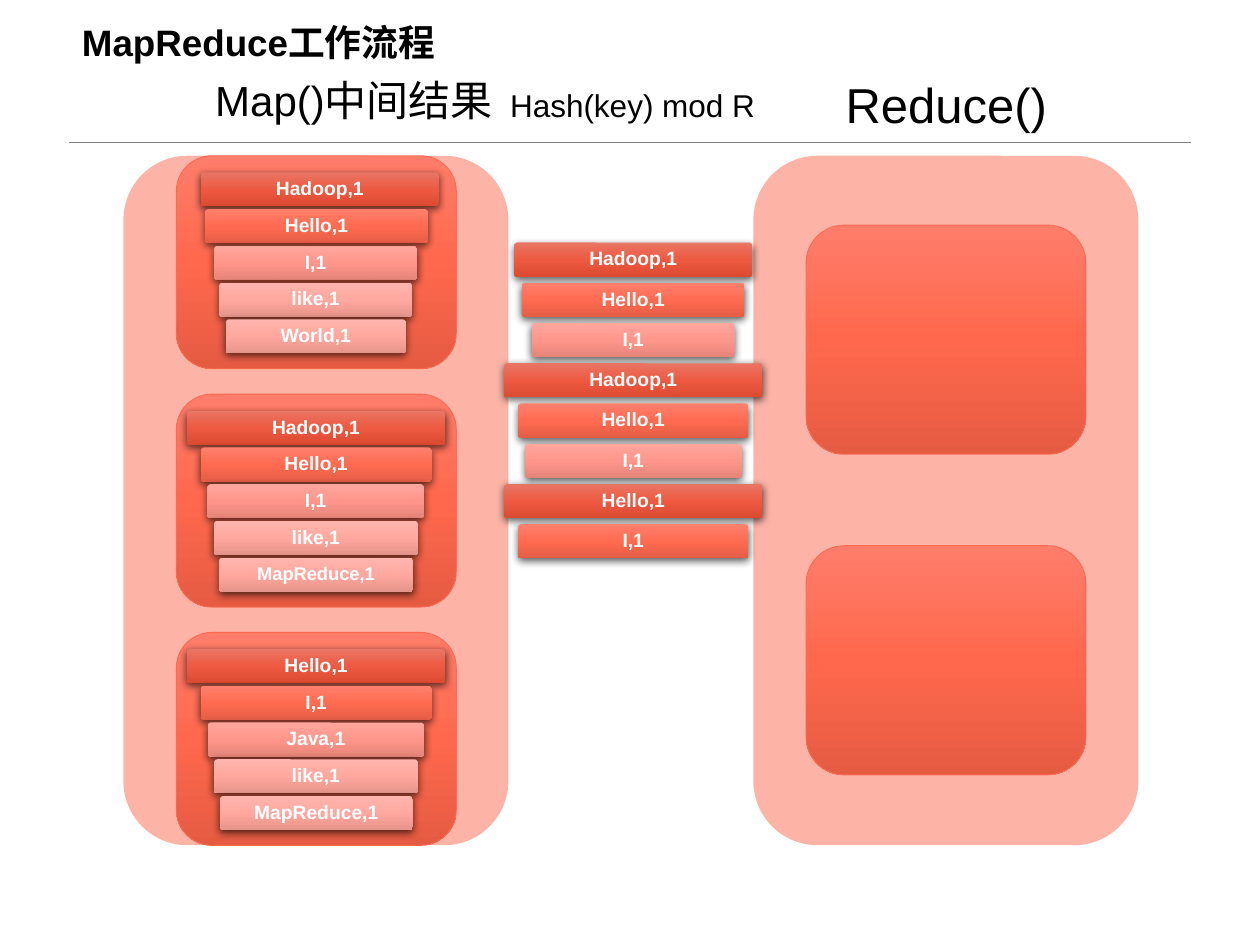
"""Build the MapReduce workflow slide: map groups, hashed intermediate results and reducers."""
from lxml.etree import SubElement
from pptx import Presentation
from pptx.dml.color import RGBColor
from pptx.enum.shapes import MSO_CONNECTOR as CONNECTOR, MSO_SHAPE as SHAPE
from pptx.enum.text import MSO_ANCHOR as ANCHOR, PP_ALIGN as ALIGN
from pptx.oxml import parse_xml
from pptx.oxml.ns import nsdecls, qn
from pptx.util import Pt

BLACK = RGBColor(0x00, 0x00, 0x00)
WHITE = RGBColor(0xFF, 0xFF, 0xFF)
GRAY = RGBColor(0x80, 0x80, 0x80)
CORAL = RGBColor(0xFC, 0x6A, 0x50)
BLOCK_SHADES = [RGBColor(0xFF, 0x7D, 0x6A), RGBColor(0xFF, 0x68, 0x4D), RGBColor(0xE5, 0x5B, 0x42)]
PALE_SHADES = [RGBColor(0xFE, 0xB6, 0xAF), RGBColor(0xFF, 0xA8, 0x9F), RGBColor(0xE5, 0x94, 0x8B)]
BAR_SHADES = [
    [RGBColor(0xE9, 0x75, 0x65), RGBColor(0xED, 0x5A, 0x41), RGBColor(0xDB, 0x4A, 0x31)],
    [RGBColor(0xFF, 0x80, 0x6D), RGBColor(0xFF, 0x6B, 0x51), RGBColor(0xE5, 0x5D, 0x46)],
    [RGBColor(0xFF, 0xA6, 0x9D), RGBColor(0xFF, 0x96, 0x8B), RGBColor(0xE5, 0x84, 0x79)],
    PALE_SHADES,
    PALE_SHADES,
]
BAR_HEIGHT = 19.5
BLOCK_WIDTH = 160


def add_block(left, top, width, height, shades):
    block = slide.shapes.add_shape(SHAPE.ROUNDED_RECTANGLE, Pt(left), Pt(top), Pt(width), Pt(height))
    block.shadow.inherit = False
    stops = "".join(
        f'<a:gs pos="{i * 50000}"><a:srgbClr val="{shade}"/></a:gs>' for i, shade in enumerate(shades)
    )
    gradient = parse_xml(
        f'<a:gradFill {nsdecls("a")} rotWithShape="1"><a:gsLst>{stops}</a:gsLst>'
        '<a:lin ang="5400000" scaled="0"/></a:gradFill>'
    )
    block._element.spPr.find(qn("a:prstGeom")).addnext(gradient)
    block.line.color.rgb = CORAL
    block.line.width = Pt(0.5)
    return block


def add_bar(label, left, top, width, shades, size=11):
    bar = add_block(left, top, width, BAR_HEIGHT, shades)
    bar.adjustments[0] = 0.1
    bar.line.fill.background()
    effects = bar._element.spPr.find(qn("a:effectLst"))
    shadow = SubElement(effects, qn("a:outerShdw"), blurRad="57150", dist="19050",
                        dir="5400000", algn="ctr", rotWithShape="0")
    shadow_color = SubElement(shadow, qn("a:srgbClr"), val=str(BLACK))
    SubElement(shadow_color, qn("a:alpha"), val="63000")
    frame = bar.text_frame
    frame.text = label
    frame.word_wrap = True
    frame.vertical_anchor = ANCHOR.MIDDLE
    frame.margin_left = frame.margin_right = frame.margin_top = frame.margin_bottom = Pt(3.6)
    pair = frame.paragraphs[0]
    pair.alignment = ALIGN.CENTER
    pair.line_spacing = 0.9
    pair.space_after = Pt(3.85)
    font = pair.runs[0].font
    font.name, font.size, font.bold = "Arial", Pt(size), True
    font.color.rgb = WHITE


prs = Presentation()
prs.slide_width, prs.slide_height = Pt(720), Pt(540)
slide = prs.slides.add_slide(prs.slide_layouts[5])

title = slide.shapes.title
title.left, title.top, title.width, title.height = Pt(39.6), Pt(-40.3), Pt(640.8), Pt(80.6)
title.text_frame.text = "MapReduce工作流程"
title.text_frame.vertical_anchor = ANCHOR.BOTTOM
heading = title.text_frame.paragraphs[0]
heading.alignment = ALIGN.LEFT
heading.line_spacing = 0.9
heading_font = heading.runs[0].font
heading_font.name, heading_font.size, heading_font.bold = "Arial", Pt(21), True
heading_font.color.rgb = BLACK

rule = slide.shapes.add_connector(CONNECTOR.STRAIGHT, Pt(39.6), Pt(81), Pt(680.4), Pt(81))
rule.line.color.rgb = GRAY
rule.line.width = Pt(0.25)
SubElement(rule._element.spPr, qn("a:effectLst"))

for panel_left in (70.5, 430.5):
    panel = slide.shapes.add_shape(SHAPE.ROUNDED_RECTANGLE, Pt(panel_left), Pt(89), Pt(220), Pt(394))
    panel.shadow.inherit = False
    panel.fill.solid()
    panel.fill.fore_color.rgb = CORAL
    panel.line.fill.background()
    panel_color = panel._element.spPr.find(qn("a:solidFill")).find(qn("a:srgbClr"))
    SubElement(panel_color, qn("a:alpha"), val="50000")

captions = [
    ("Map()中间结果", 115.9, 38.9, 244, 36, 24, ALIGN.LEFT),
    ("Hash(key) mod R", 284.4, 45.4, 160, 29, 18, ALIGN.LEFT),
    ("Reduce()", 470.9, 38.9, 139.7, 41, 28, ALIGN.CENTER),
]
for words, left, top, width, height, size, align in captions:
    caption = slide.shapes.add_textbox(Pt(left), Pt(top), Pt(width), Pt(height))
    caption.text_frame.word_wrap = True
    caption.text_frame.text = words
    caption_line = caption.text_frame.paragraphs[0]
    caption_line.alignment = align
    caption_font = caption_line.runs[0].font
    caption_font.name, caption_font.size = "Arial", Pt(size)
    caption_font.color.rgb = BLACK

map_groups = [
    [("Hadoop,1", 114.8, 136), ("Hello,1", 117.2, 127.4), ("I,1", 122.4, 116),
     ("like,1", 125.3, 110.2), ("World,1", 129, 103)],
    [("Hadoop,1", 106.8, 147.6), ("Hello,1", 114.8, 131.8), ("I,1", 118.5, 123.8),
     ("like,1", 122.2, 116.6), ("MapReduce,1", 125.2, 110.9, 10.5)],
    [("Hello,1", 106.8, 147.6), ("I,1", 114.8, 131.8), ("Java,1", 118.6, 123.8),
     ("like,1", 122.2, 116.6), ("MapReduce,1", 125.7, 110.2)],
]
for group_index, pairs in enumerate(map_groups):
    group_top = 89 + group_index * 136.2
    add_block(100.8, group_top, BLOCK_WIDTH, 121.7, BLOCK_SHADES)
    for row, (label, left, width, *size) in enumerate(pairs):
        add_bar(label, left, group_top + 9.5 + row * 21, width, BAR_SHADES[row], *size)

for reducer_top in (128.6, 311.8):
    add_block(460.6, reducer_top, BLOCK_WIDTH, 131, BLOCK_SHADES)

hashed_pairs = [
    ("Hadoop,1", 136), ("Hello,1", 127.4), ("I,1", 116),
    ("Hadoop,1", 147.6), ("Hello,1", 131.8), ("I,1", 123.8),
    ("Hello,1", 147.6), ("I,1", 131.8),
]
for row, (label, width) in enumerate(hashed_pairs):
    add_bar(label, 361.9 - width / 2, 138.6 + row * 23, width, BAR_SHADES[row % 3])

prs.save("out.pptx")
